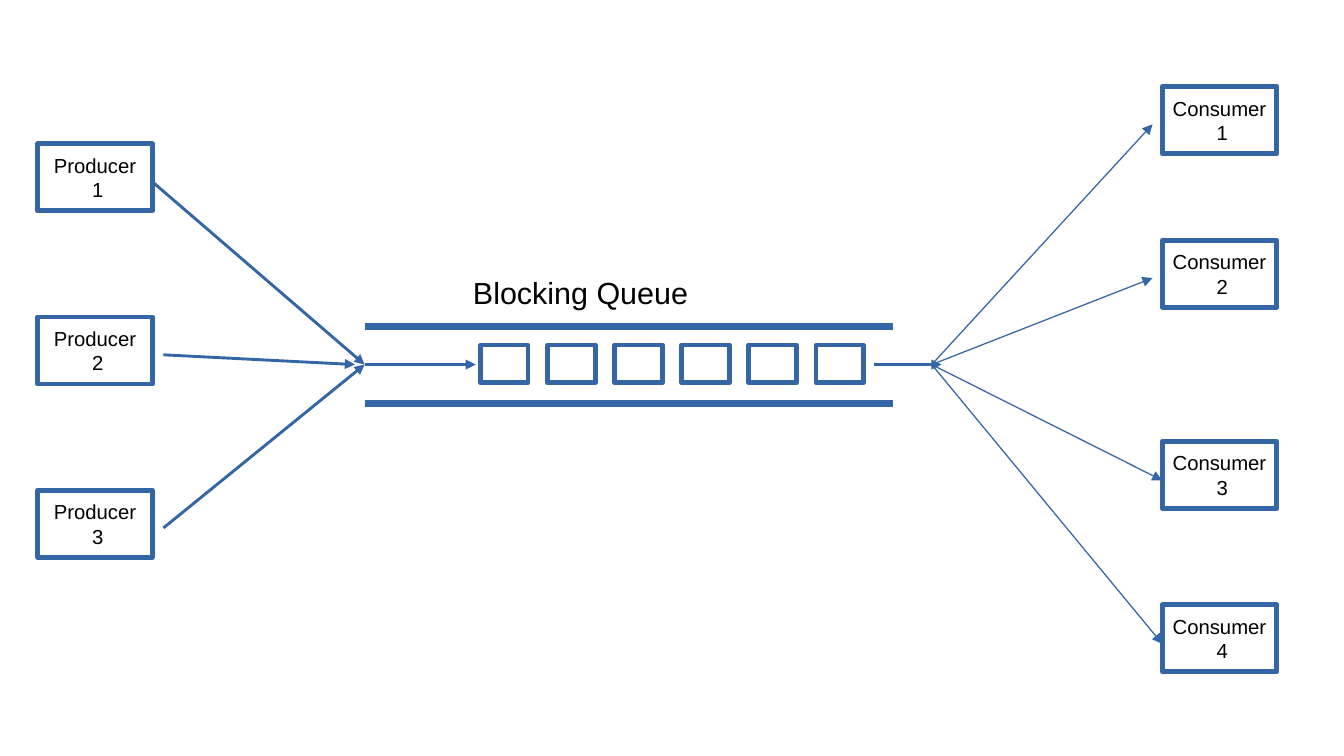
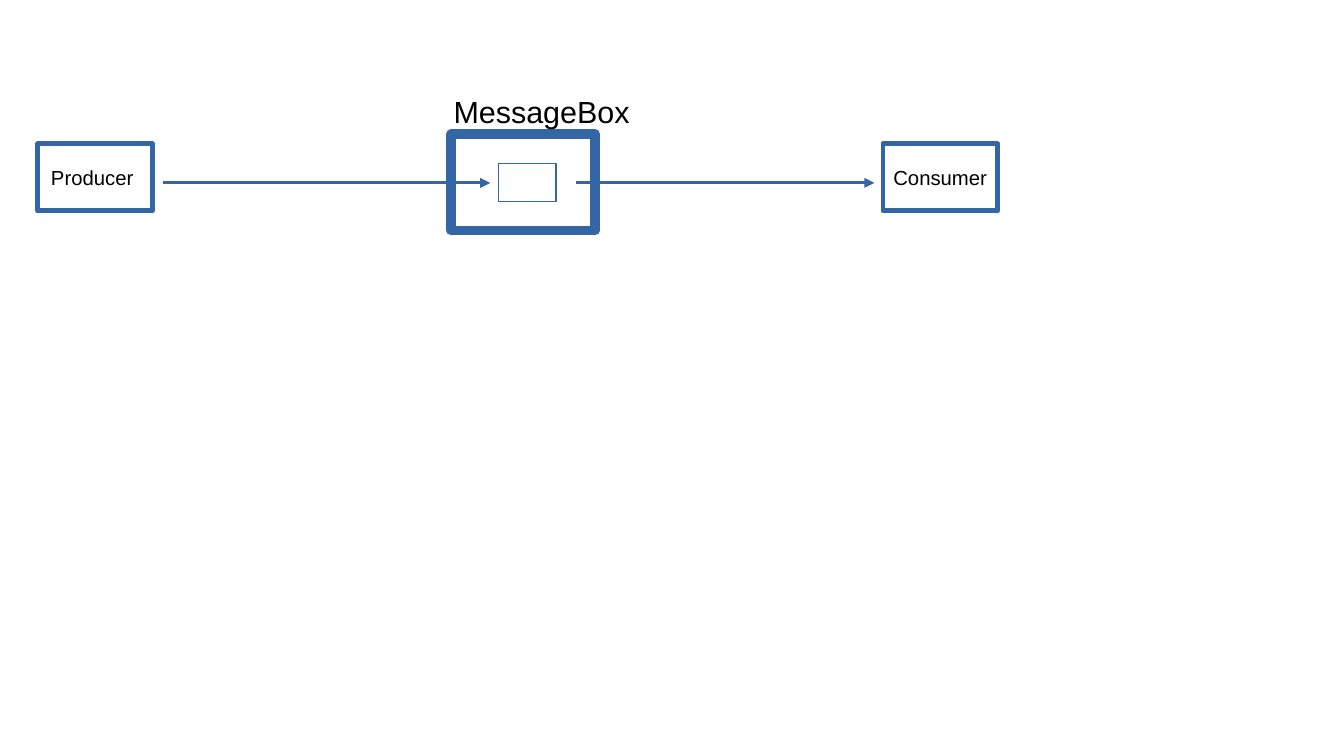
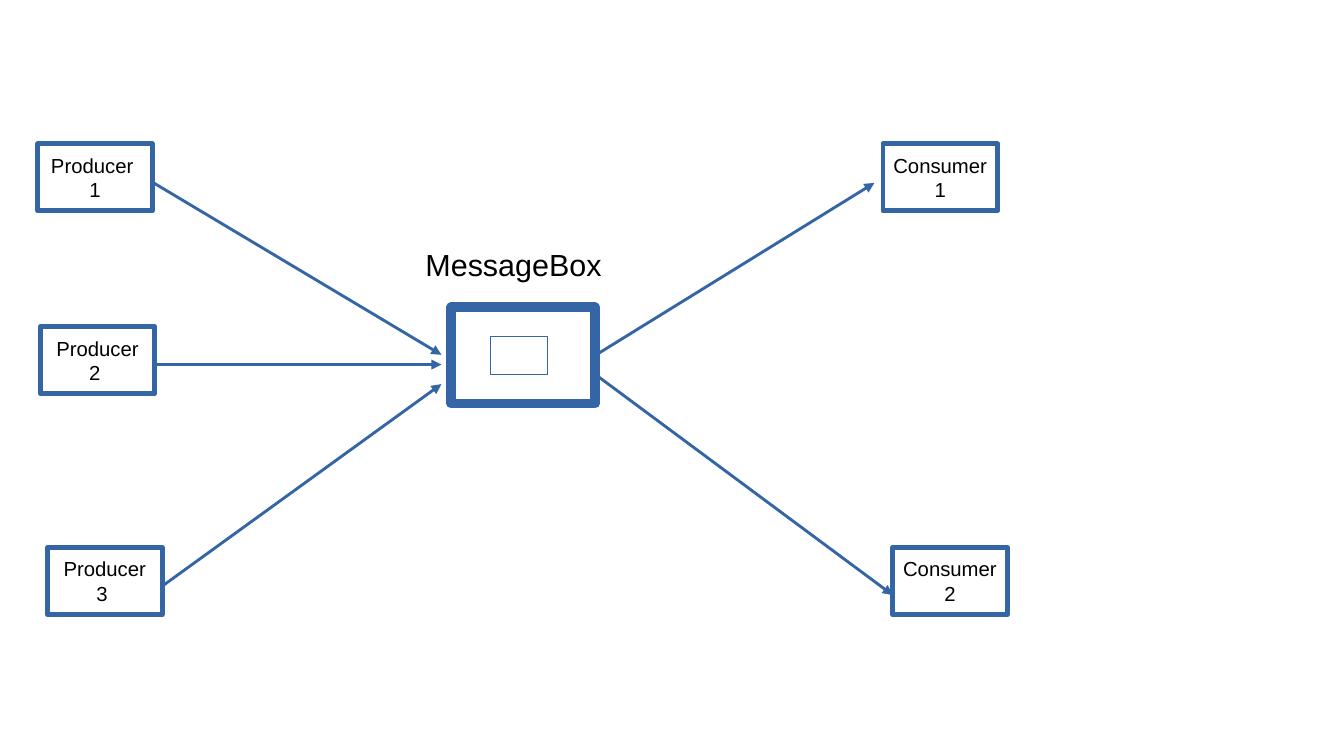
from pptx import Presentation
from pptx.dml.color import RGBColor
from pptx.enum.shapes import MSO_CONNECTOR, MSO_SHAPE
from pptx.enum.text import MSO_ANCHOR, PP_ALIGN
from pptx.oxml.ns import qn
from pptx.util import Inches, Pt
from lxml import etree

STRAIGHT = MSO_CONNECTOR.STRAIGHT
RECTANGLE = MSO_SHAPE.RECTANGLE
MIDDLE, TOP = MSO_ANCHOR.MIDDLE, MSO_ANCHOR.TOP
CENTER, LEFT = PP_ALIGN.CENTER, PP_ALIGN.LEFT
RIGHT_SIDE = 3


class Theme:
    blue = RGBColor(0x34, 0x65, 0xA4)
    black = RGBColor(0, 0, 0)
    font = "Arial"
    node_size, label_size = 12, 18
    hairline, arrow, outline, rail, frame = 0.75, 1.7, 2.83, 3.97, 5.67


NODE = (0.94, 0.55)
SLOT = (0.39, 0.31)
MESSAGE_BOX = (1.18, 0.79)
MESSAGE = (0.47, 0.31)


def add_box(page, text, position, dimensions, *, outline=Theme.outline,
            size=Theme.node_size, align=CENTER, anchor=MIDDLE,
            inset=(0.12, 0.07), wrap=False):
    """Add a rectangle, or a plain label if outline is None."""
    place = [Inches(value) for value in (*position, *dimensions)]
    if outline is None:
        box = page.shapes.add_textbox(*place)
    else:
        box = page.shapes.add_shape(RECTANGLE, *place)
        box.shadow.inherit = False
        box.fill.background()
        box.line.color.rgb = Theme.blue
        box.line.width = Pt(outline)
    frame = box.text_frame
    frame.word_wrap = wrap
    frame.vertical_anchor = anchor
    frame.margin_left = frame.margin_right = Inches(inset[0])
    frame.margin_top = frame.margin_bottom = Inches(inset[1])
    frame.text = text
    for para in frame.paragraphs:
        para.alignment = align
        for span in para.runs:
            span.font.name = Theme.font
            span.font.size = Pt(size)
            span.font.color.rgb = Theme.black
    return box


def add_line(page, start, end, width=Theme.arrow, arrow=True):
    line = page.shapes.add_connector(
        STRAIGHT, *[Inches(value) for value in (*start, *end)])
    line.line.color.rgb = Theme.blue
    line.line.width = Pt(width)
    properties = line._element.spPr
    if arrow:
        etree.SubElement(properties.find(qn("a:ln")), qn("a:tailEnd"), type="triangle")
    etree.SubElement(properties, qn("a:effectLst"))
    return line


label_format = dict(outline=None, size=Theme.label_size, align=LEFT,
                    anchor=TOP, inset=(0.1, 0.05), wrap=True)

deck = Presentation()
deck.slide_width, deck.slide_height = Inches(11.02), Inches(6.2)
blank = deck.slide_layouts[6]
queue_page, single_page, shared_page = [deck.slides.add_slide(blank) for _ in range(3)]

# Slide 1: producers and consumers around a blocking queue
for index in range(3):
    add_box(queue_page, f"Producer\n {index + 1}", (0.31, 1.18 + 1.42 * index), NODE)
for number, top in enumerate((0.71, 1.97, 3.62, 4.96), start=1):
    add_box(queue_page, f"Consumer\n {number}", (9.53, top), NODE)

# Queue rails, slots and label
for height in (2.68, 3.31):
    add_line(queue_page, (2.99, height), (7.32, height), Theme.rail, arrow=False)
for index in range(6):
    add_box(queue_page, "", (3.94 + 0.55 * index, 2.83), SLOT)
add_box(queue_page, "Blocking Queue", (3.78, 2.2), (2.83, 0.38), **label_format)

# Arrows into and out of the queue
for start, end in (
    ((1.26, 1.5), (2.99, 2.99)),
    ((1.34, 2.91), (2.91, 2.99)),
    ((1.34, 4.33), (2.99, 2.99)),
    ((2.99, 2.99), (3.9, 2.99)),
    ((7.17, 2.99), (7.72, 2.99)),
):
    add_line(queue_page, start, end)
for end in ((9.45, 1.02), (9.45, 2.28), (9.53, 3.94), (9.53, 5.28)):
    add_line(queue_page, (7.64, 2.99), end, Theme.hairline)

# Slides 2 and 3: message box with its message and label
message_boxes = []
for page, box_top, message_at, label_at in (
    (single_page, 1.1, (4.09, 1.34), (3.62, 0.71)),
    (shared_page, 2.52, (4.02, 2.76), (3.39, 1.97)),
):
    message_boxes.append(
        add_box(page, "", (3.7, box_top), MESSAGE_BOX, outline=Theme.frame))
    add_box(page, "", message_at, MESSAGE, outline=Theme.hairline)
    add_box(page, "MessageBox", label_at, (1.89, 0.38), **label_format)

# Producers and consumers
for page, text, position in (
    (single_page, "Producer ", (0.31, 1.18)),
    (single_page, "Consumer", (7.24, 1.18)),
    (shared_page, "Producer \n1", (0.31, 1.18)),
    (shared_page, "Producer\n2 ", (0.33, 2.68)),
    (shared_page, "Producer\n3 ", (0.39, 4.49)),
    (shared_page, "Consumer\n1", (7.24, 1.18)),
    (shared_page, "Consumer\n2", (7.32, 4.49)),
):
    add_box(page, text, position, NODE)

# Arrows
for page, start, end in (
    (single_page, (1.34, 1.5), (4.02, 1.5)),
    (single_page, (4.72, 1.5), (7.17, 1.5)),
    (shared_page, (1.26, 1.5), (3.62, 2.91)),
    (shared_page, (1.28, 2.99), (3.62, 2.99)),
    (shared_page, (1.34, 4.8), (3.62, 3.15)),
    (shared_page, (4.88, 3.07), (7.32, 4.88)),
):
    add_line(page, start, end)
first_delivery = add_line(shared_page, (4.88, 2.91), (7.17, 1.5))
first_delivery.begin_connect(message_boxes[1], RIGHT_SIDE)

deck.save("out.pptx")
